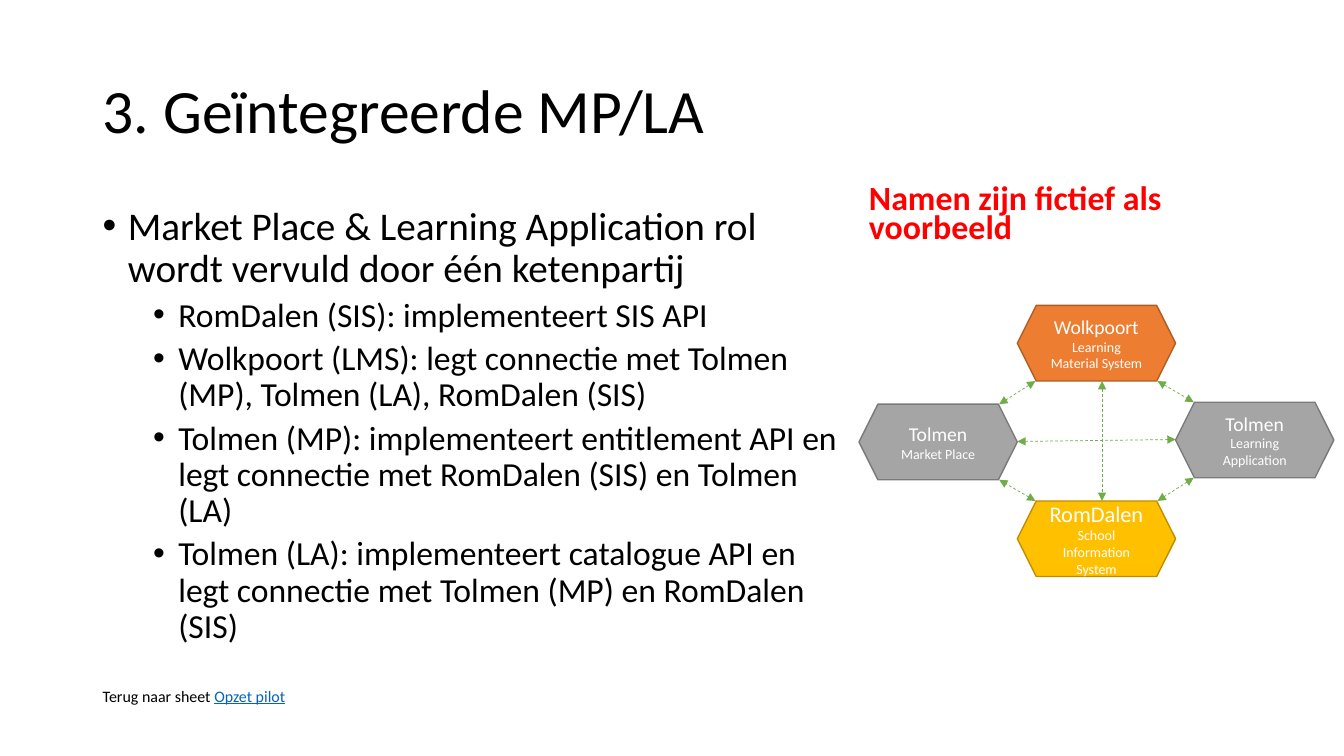
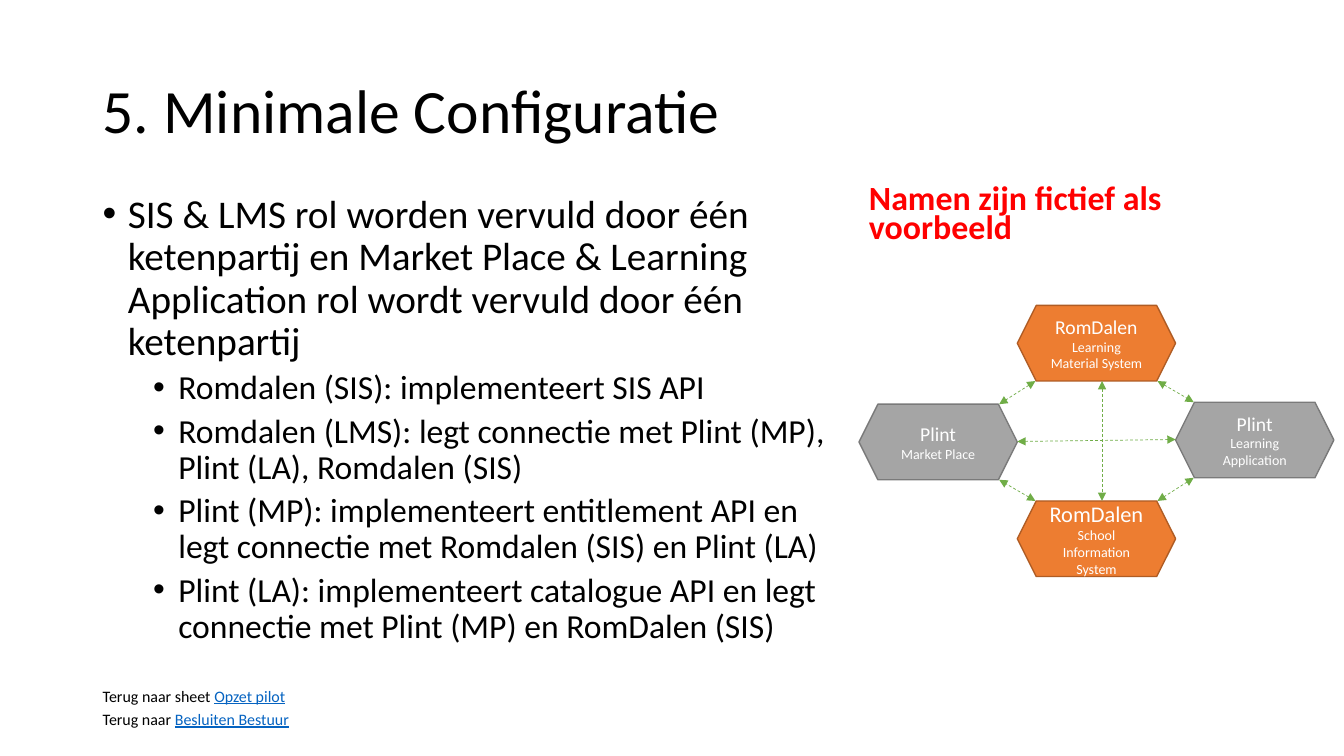
"""Build two slides on school-chain configurations, each with a role diagram."""
from typing import NamedTuple

from lxml import etree
from pptx import Presentation
from pptx.dml.color import RGBColor
from pptx.enum.dml import MSO_LINE
from pptx.enum.shapes import MSO_CONNECTOR, MSO_SHAPE
from pptx.enum.text import MSO_ANCHOR, PP_ALIGN
from pptx.oxml.ns import qn
from pptx.util import Emu, Pt

PX = 9144
FONT = "Calibri"
HEXAGON = MSO_SHAPE.HEXAGON
STRAIGHT = MSO_CONNECTOR.STRAIGHT
DASH = MSO_LINE.DASH
TOP, MIDDLE = MSO_ANCHOR.TOP, MSO_ANCHOR.MIDDLE
CENTER = PP_ALIGN.CENTER
COLORS = {
    "text": "000000",
    "white": "FFFFFF",
    "notice": "FF0000",
    "link": "0563C1",
    "arrow": "70AD47",
    "orange": "ED7D31",
    "orange_edge": "AF5C24",
    "gray": "A5A5A5",
    "gray_edge": "7A7A7A",
    "yellow": "FFC000",
    "yellow_edge": "BD8E00",
}
ROLE_WIDTH, ROLE_HEIGHT = 157, 75
CORNER = ROLE_HEIGHT // 4
MARGIN = 92
DIAGRAM_LEFT = 852


class Box(NamedTuple):
    left: int
    top: int
    width: int
    height: int


class Point(NamedTuple):
    x: int
    y: int


class Bullet(NamedTuple):
    size: int
    indent: int
    space_before: int


class Party(NamedTuple):
    name: str
    color: str


class Role(NamedTuple):
    left: int
    top: int
    lines: tuple[str, ...]
    name_size: int = 14

    def corner(self, right: bool, bottom: bool) -> Point:
        x = self.left + (ROLE_WIDTH - CORNER if right else CORNER)
        return Point(x, self.top + (ROLE_HEIGHT if bottom else 0))

    def tip(self, right: bool) -> Point:
        x = self.left + (ROLE_WIDTH if right else 0)
        return Point(x, self.top + ROLE_HEIGHT // 2)


class Footer(NamedTuple):
    top: int
    width: int
    lead: str
    link: str


class Configuration(NamedTuple):
    title: str
    body_top: int
    main_point: str
    details: tuple[str, ...]
    parties: tuple[Party, ...]
    footers: tuple[Footer, ...]


MAIN_BULLET = Bullet(28, 25, 10)
DETAIL_BULLET = Bullet(24, 75, 5)

MATERIAL = Role(DIAGRAM_LEFT + ROLE_WIDTH, 303, ("Learning Material System",))
MARKET = Role(DIAGRAM_LEFT, 401, ("Market Place",))
APPLICATION = Role(DIAGRAM_LEFT + 2 * ROLE_WIDTH, 399, ("Learning Application",))
SCHOOL = Role(MATERIAL.left, 497, ("School", "Information System"), 16)
ROLES = (MATERIAL, MARKET, APPLICATION, SCHOOL)

VERTICAL_X = 1093
ARROWS = (
    (Point(VERTICAL_X, MATERIAL.top + ROLE_HEIGHT), Point(VERTICAL_X, SCHOOL.top)),
    (MARKET.tip(True), APPLICATION.tip(False)),
    (MATERIAL.corner(False, True), MARKET.corner(True, False)),
    (SCHOOL.corner(False, False), MARKET.corner(True, True)),
    (MATERIAL.corner(True, True), APPLICATION.corner(False, False)),
    (APPLICATION.corner(False, True), SCHOOL.corner(True, False)),
)

PILOT_FOOTER = Footer(681, 569, "Terug naar sheet ", "Opzet pilot")
BOARD_FOOTER = Footer(704, 246, "Terug naar ", "Besluiten Bestuur")

CONFIGURATIONS = (
    Configuration(
        "3. Geïntegreerde MP/LA",
        200,
        "Market Place & Learning Application rol wordt vervuld door één ketenpartij",
        (
            "RomDalen (SIS): implementeert SIS API",
            "Wolkpoort (LMS): legt connectie met Tolmen (MP), Tolmen (LA), RomDalen (SIS)",
            "Tolmen (MP): implementeert entitlement API en legt connectie met "
            "RomDalen (SIS) en Tolmen (LA)",
            "Tolmen (LA): implementeert catalogue API en legt connectie met "
            "Tolmen (MP) en RomDalen (SIS)",
        ),
        (
            Party("Wolkpoort", "orange"),
            Party("Tolmen", "gray"),
            Party("Tolmen", "gray"),
            Party("RomDalen", "yellow"),
        ),
        (PILOT_FOOTER,),
    ),
    Configuration(
        "5. Minimale Configuratie",
        188,
        "SIS & LMS rol worden vervuld door één ketenpartij en Market Place & "
        "Learning Application rol wordt vervuld door één ketenpartij",
        (
            "Romdalen (SIS): implementeert SIS API",
            "Romdalen (LMS): legt connectie met Plint (MP), Plint (LA), Romdalen (SIS)",
            "Plint (MP): implementeert entitlement API en legt connectie met "
            "Romdalen (SIS) en Plint (LA)",
            "Plint (LA): implementeert catalogue API en legt connectie met "
            "Plint (MP) en RomDalen (SIS)",
        ),
        (
            Party("RomDalen", "orange"),
            Party("Plint", "gray"),
            Party("Plint", "gray"),
            Party("RomDalen", "orange"),
        ),
        (PILOT_FOOTER, BOARD_FOOTER),
    ),
)


def px(length: int) -> Emu:
    return Emu(length * PX)


def rgb(color: str) -> RGBColor:
    return RGBColor.from_string(COLORS[color])


def style(run, size: float, color: str = "text", bold: bool = False) -> None:
    run.font.name = FONT
    run.font.size = Pt(size)
    run.font.bold = bold
    run.font.color.rgb = rgb(color)


def add_text_frame(slide, box: Box, anchor=TOP):
    frame = slide.shapes.add_textbox(*map(px, box)).text_frame
    frame.word_wrap = True
    frame.vertical_anchor = anchor
    return frame


def add_line_of_text(slide, box: Box, text: str, size: float, spacing: float,
                     color: str = "text", bold: bool = False) -> None:
    frame = add_text_frame(slide, box, MIDDLE)
    frame.text = text
    paragraph = frame.paragraphs[0]
    paragraph.line_spacing = spacing
    style(paragraph.runs[0], size, color, bold)


def format_bullet(paragraph, bullet: Bullet) -> None:
    paragraph.line_spacing = 0.9
    paragraph.space_before = Pt(bullet.space_before)
    style(paragraph.runs[0], bullet.size)
    properties = paragraph._p.get_or_add_pPr()
    properties.set("marL", str(px(bullet.indent)))
    properties.set("indent", str(px(-25)))
    etree.SubElement(properties, qn("a:buFont")).set("typeface", "Arial")
    etree.SubElement(properties, qn("a:buChar")).set("char", "•")


def add_body(slide, configuration: Configuration) -> None:
    frame = add_text_frame(slide, Box(MARGIN, configuration.body_top, 755, 505))
    frame.text = "\n".join((configuration.main_point, *configuration.details))
    for index, paragraph in enumerate(frame.paragraphs):
        paragraph.level = min(index, 1)
        format_bullet(paragraph, DETAIL_BULLET if index else MAIN_BULLET)


def add_role(slide, role: Role, party: Party) -> None:
    box = Box(role.left, role.top, ROLE_WIDTH, ROLE_HEIGHT)
    hexagon = slide.shapes.add_shape(HEXAGON, *map(px, box))
    hexagon.shadow.inherit = False
    hexagon.fill.solid()
    hexagon.fill.fore_color.rgb = rgb(party.color)
    hexagon.line.color.rgb = rgb(f"{party.color}_edge")
    hexagon.line.width = Pt(1)
    frame = hexagon.text_frame
    frame.word_wrap = True
    frame.vertical_anchor = MIDDLE
    frame.text = "\n".join((party.name, *role.lines))
    for index, paragraph in enumerate(frame.paragraphs):
        paragraph.alignment = CENTER
        style(paragraph.runs[0], 10 if index else role.name_size, "white")


def add_arrow(slide, start: Point, end: Point) -> None:
    arrow = slide.shapes.add_connector(STRAIGHT, *map(px, (*start, *end)))
    arrow.line.color.rgb = rgb("arrow")
    arrow.line.width = Pt(0.5)
    arrow.line.dash_style = DASH
    properties = arrow.element.spPr
    outline = properties.find(qn("a:ln"))
    for arrowhead in ("a:headEnd", "a:tailEnd"):
        etree.SubElement(outline, qn(arrowhead)).set("type", "triangle")
    etree.SubElement(properties, qn("a:effectLst"))


def add_footer(slide, footer: Footer) -> None:
    frame = add_text_frame(slide, Box(MARGIN, footer.top, footer.width, 23))
    paragraph = frame.paragraphs[0]
    paragraph.line_spacing = 0.7
    paragraph.space_before = Pt(10)
    for text, color in ((footer.lead, "text"), (footer.link, "link")):
        run = paragraph.add_run()
        run.text = text
        style(run, 11.4, color)
        run.font.underline = color == "link"


def add_configuration(presentation, configuration: Configuration) -> None:
    slide = presentation.slides.add_slide(presentation.slide_layouts[6])
    add_line_of_text(slide, Box(MARGIN, 40, 1150, 145), configuration.title, 44, 0.9)
    add_body(slide, configuration)
    for role, party in zip(ROLES, configuration.parties):
        add_role(slide, role, party)
    for start, end in ARROWS:
        add_arrow(slide, start, end)
    for footer in configuration.footers:
        add_footer(slide, footer)
    add_line_of_text(slide, Box(DIAGRAM_LEFT, 187, 449, 55),
                     "Namen zijn fictief als voorbeeld", 24.2, 0.7, "notice", True)


def main() -> None:
    presentation = Presentation()
    presentation.slide_width = px(1333)
    presentation.slide_height = px(750)
    for configuration in CONFIGURATIONS:
        add_configuration(presentation, configuration)
    presentation.save("out.pptx")


if __name__ == "__main__":
    main()
